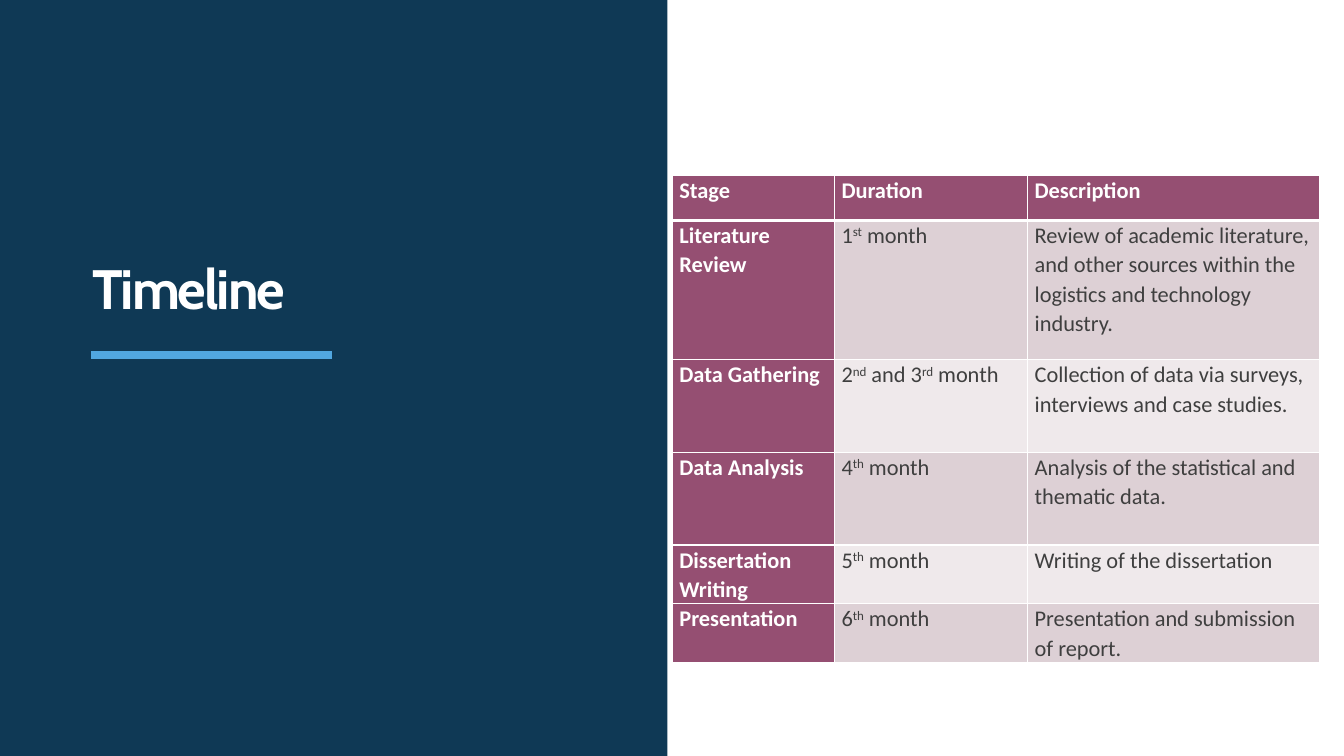
import pptx
import pptx.util
import pptx.dml.color
import pptx.enum.shapes
import pptx.enum.text
import pptx.oxml
import pptx.oxml.ns

Pt = pptx.util.Pt


def color(value):
    return pptx.dml.color.RGBColor.from_string(value)


def add_text(tf, text, font, size, fill, bold=False, line=1.0, after=0, spacing=0):
    """Fill the first paragraph; text between ^ marks is superscript."""
    p = tf.paragraphs[0]
    p.alignment = pptx.enum.text.PP_ALIGN.LEFT
    p.line_spacing, p.space_before, p.space_after = line, Pt(0), Pt(after)
    for i, part in enumerate(text.split("^")):
        r = p.add_run()
        r.text = part
        r.font.name, r.font.size, r.font.bold = font, Pt(size), bold
        r.font.color.rgb = color(fill)
        rPr = r._r.get_or_add_rPr()
        if i % 2:
            rPr.set("baseline", "30000")
        if spacing:
            rPr.set("spc", str(int(spacing * 100)))


prs = pptx.Presentation()
prs.slide_width, prs.slide_height = Pt(960), Pt(540)
s = prs.slides.add_slide(prs.slide_layouts[5])
s.background.fill.solid()
s.background.fill.fore_color.rgb = color("FFFFFF")

# Left panel and accent line
panel = s.shapes.add_shape(pptx.enum.shapes.MSO_SHAPE.RECTANGLE, 0, 0, Pt(476.64), Pt(540))
panel.shadow.inherit = False
panel.fill.solid()
panel.fill.fore_color.rgb = color("0F3955")
panel.line.fill.background()

accent = s.shapes.add_connector(
    pptx.enum.shapes.MSO_CONNECTOR.STRAIGHT, Pt(65), Pt(253.4), Pt(237), Pt(253.4))
accent.line.color.rgb = color("51A7E0")
accent.line.width = Pt(6)
accent._element.spPr.append(pptx.oxml.parse_xml(
    f"<a:effectLst {pptx.oxml.ns.nsdecls('a')}/>"))

# Title, brought in front of the panel
title = s.shapes.title
s.shapes._spTree.append(title._element)
title.left, title.top, title.width, title.height = Pt(66.2), Pt(179.3), Pt(315.4), Pt(54)
tf = title.text_frame
tf.word_wrap = True
tf.auto_size = pptx.enum.text.MSO_AUTO_SIZE.NONE
tf.vertical_anchor = pptx.enum.text.MSO_ANCHOR.BOTTOM
tf.margin_left, tf.margin_right = Pt(0), Pt(7.2)
tf.margin_top = tf.margin_bottom = Pt(3.6)
add_text(tf, "Timeline", "Cabin", 39.6, "FFFFFF", bold=True, line=0.9, spacing=-1.5)

# Timeline table
rows = [
    ("Stage", "Duration", "Description"),
    ("Literature Review", "1^st^ month",
     "Review of academic literature, and other sources within the logistics and technology industry."),
    ("Data Gathering", "2^nd^ and 3^rd^ month",
     "Collection of data via surveys, interviews and case studies."),
    ("Data Analysis", "4^th^ month", "Analysis of the statistical and thematic data."),
    ("Dissertation Writing", "5^th^ month", "Writing of the dissertation"),
    ("Presentation", "6^th^ month", "Presentation and submission of report."),
]
col_widths = [115.8, 138, 208.2]
row_heights = [32, 99.4, 66.2, 66.2, 32.4, 32.4]

table = s.shapes.add_table(len(rows), len(col_widths), Pt(480.3), Pt(125.5),
                           Pt(sum(col_widths)), Pt(sum(row_heights))).table
for column, width in zip(table.columns, col_widths):
    column.width = Pt(width)

for i, (row, height) in enumerate(zip(rows, row_heights)):
    table.rows[i].height = Pt(height)
    band = "DDD0D5" if i % 2 else "EFE9EB"
    for j, text in enumerate(row):
        cell = table.cell(i, j)
        heading = i == 0 or j == 0
        cell.margin_left = cell.margin_right = Pt(5)
        cell.margin_top = cell.margin_bottom = Pt(0)
        cell.fill.solid()
        cell.fill.fore_color.rgb = color("954F72" if heading else band)
        add_text(cell.text_frame, text, "Calibri", 16, "FFFFFF" if heading else "3F3F3F",
                 bold=heading, line=1.07, after=8)
        tcPr = cell._tc.get_or_add_tcPr()
        for k, side in enumerate("LRTB"):
            thick = (i, side) in ((0, "B"), (1, "T"))
            tcPr.insert(k, pptx.oxml.parse_xml(
                f'<a:ln{side} {pptx.oxml.ns.nsdecls("a")} w="{Pt(3 if thick else 1)}">'
                '<a:solidFill><a:srgbClr val="FFFFFF"/></a:solidFill>'
                f'</a:ln{side}>'))

prs.save("out.pptx")
